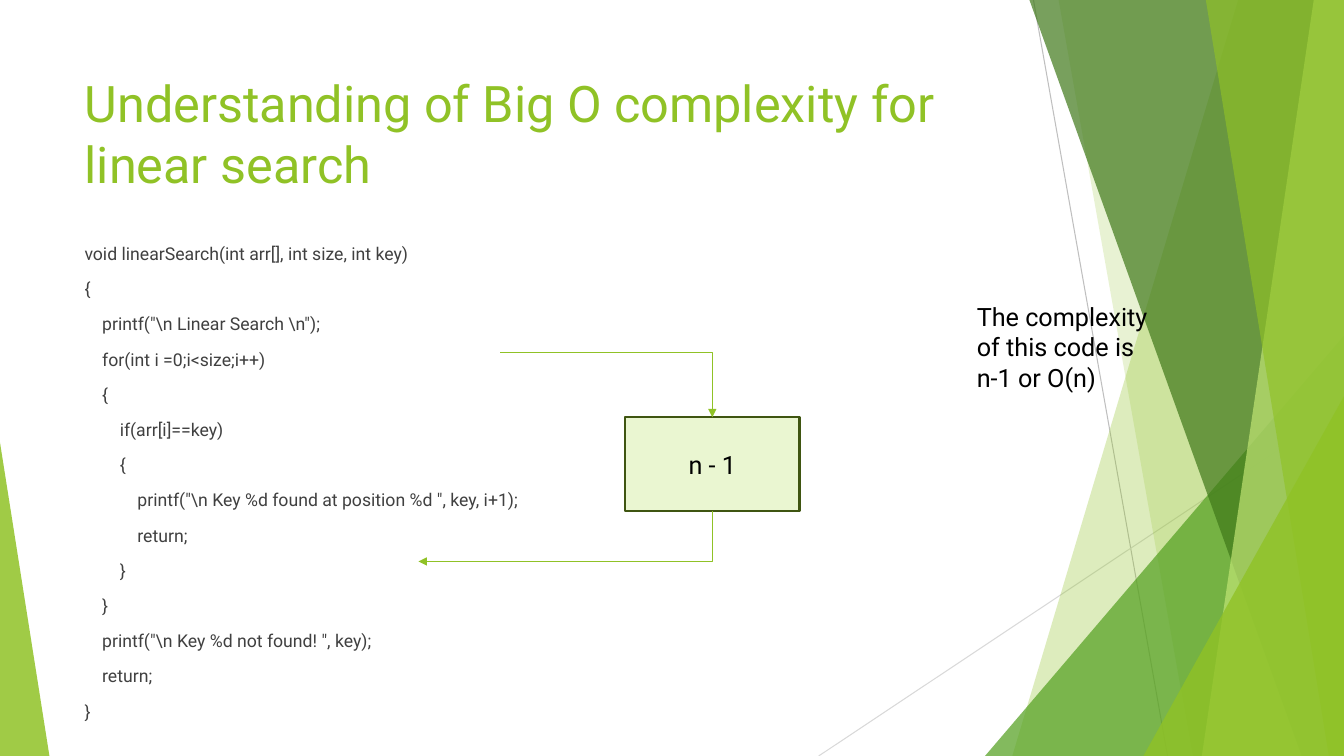
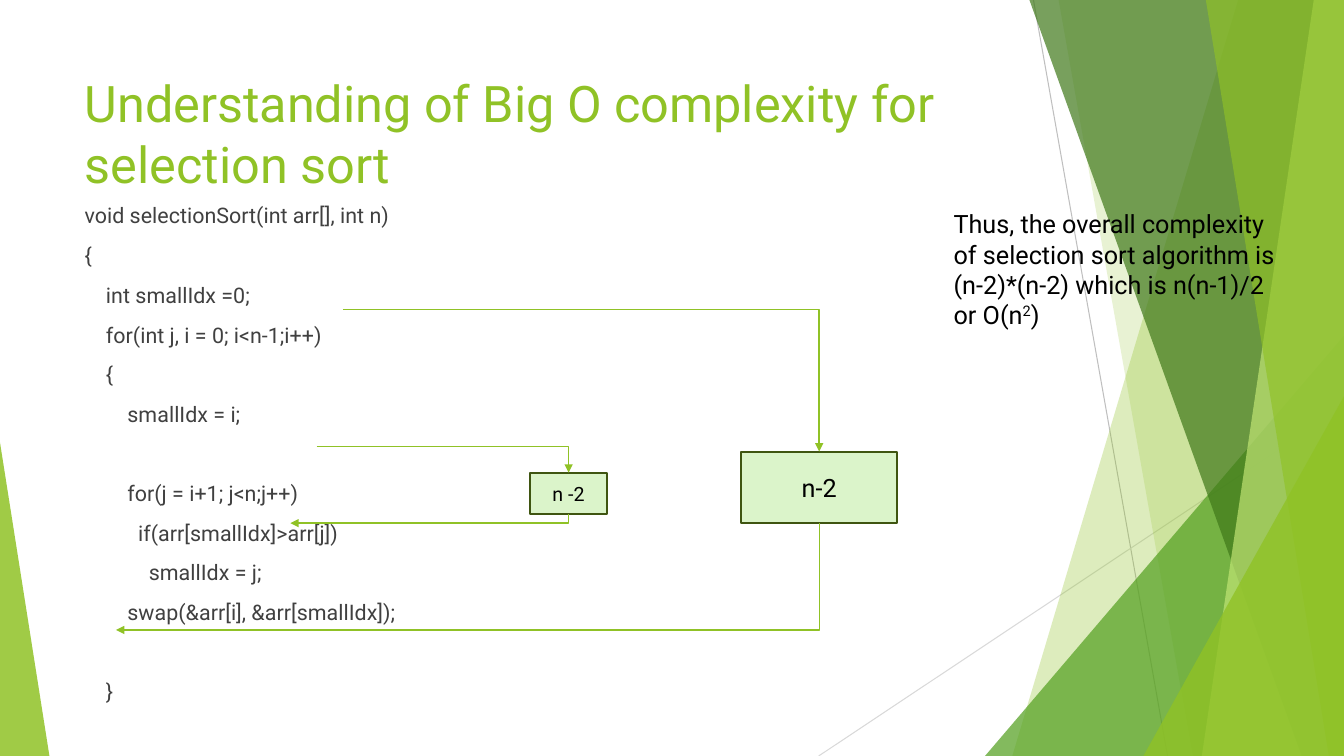
"""Build two slides on the Big O complexity of linear search and selection sort."""
from lxml.etree import SubElement
from pptx import Presentation
from pptx.dml.color import RGBColor
from pptx.enum.shapes import MSO_CONNECTOR, MSO_SHAPE
from pptx.enum.text import MSO_ANCHOR, PP_ALIGN
from pptx.oxml.ns import qn
from pptx.util import Inches, Pt

GREEN = RGBColor(0x90, 0xC2, 0x26)
MID_GREEN = RGBColor(0x54, 0xA0, 0x21)
DARK_GREEN = RGBColor(0x3F, 0x78, 0x19)
LIGHT_GREEN = RGBColor(0xC0, 0xE4, 0x74)
OUTLINE = RGBColor(0x3F, 0x55, 0x11)
LIME_TINT = RGBColor(0xEA, 0xF6, 0xD1)
MINT_TINT = RGBColor(0xDB, 0xF4, 0xCA)
GRAY = RGBColor(0xBF, 0xBF, 0xBF)
PALE_GRAY = RGBColor(0xD9, 0xD9, 0xD9)
TEXT_GRAY = RGBColor(0x40, 0x40, 0x40)
BLACK = RGBColor(0, 0, 0)

FONT = "Roboto"
WIDTH, HEIGHT = 13.33, 7.5
LINE_HEIGHT = 1.17
SPACE_WIDTH = 0.25
CODE_GAP = 10

LINEAR_SEARCH = r"""void linearSearch(int arr[], int size, int key)
{
    printf("\n Linear Search \n");
    for(int i =0;i<size;i++)
    {
        if(arr[i]==key)
        {
            printf("\n Key %d found at position %d ", key, i+1);
            return;
        }
    }
    printf("\n Key %d not found! ", key);
    return;
}"""

SELECTION_SORT = """void selectionSort(int arr[], int n)
{
    int smallIdx =0;
    for(int j, i = 0; i<n-1;i++)
    {
        smallIdx = i;

        for(j = i+1; j<n;j++)
          if(arr[smallIdx]>arr[j])
            smallIdx = j;
        swap(&arr[i], &arr[smallIdx]);

    }"""


def add_text(p, text, size=18, color=BLACK, align=PP_ALIGN.LEFT, before=0, indent=0, baseline=0):
    p.alignment = align
    p.space_before = Pt(before)
    if indent:
        p._p.get_or_add_pPr().set("marL", str(Pt(indent)))
    r = p.add_run()
    r.text = text
    r.font.name = FONT
    r.font.size = Pt(size)
    r.font.color.rgb = color
    if baseline:
        r._r.get_or_add_rPr().set("baseline", str(baseline * 1000))


class Deck:
    def __init__(self):
        self.prs = Presentation()
        self.prs.slide_width = Inches(WIDTH)
        self.prs.slide_height = Inches(HEIGHT)
        self.shapes = None

    def slide(self, title):
        self.shapes = self.prs.slides.add_slide(self.prs.slide_layouts[6]).shapes
        self.facets()
        p = self.text_box(0.74, 0.67, 9.4, 1.44).paragraphs[0]
        add_text(p, title, size=36, color=GREEN)

    def facets(self):
        self.line(10.25, 0, 11.58, HEIGHT, GRAY)
        self.line(WIDTH, 4.03, 8.12, HEIGHT, PALE_GRAY)
        self.band(12.28, 10.04, GREEN, 30)
        self.band(10.5, 11.83, GREEN, 20)
        self.triangle(9.77, 3.33, 3.56, 1, MID_GREEN, 72)
        self.band(10.21, 12.91, DARK_GREEN, 70)
        self.band(13.03, 11.92, LIGHT_GREEN, 70)
        self.band(11.96, 13.18, GREEN, 65)
        self.triangle(11.34, 3.93, 1.99, 1, GREEN, 80)
        self.triangle(0, 4.39, 0.49, 0, GREEN, 85)

    def paint(self, sp, color, opacity):
        sp.shadow.inherit = False
        sp.line.fill.background()
        sp.fill.solid()
        sp.fill.fore_color.rgb = color
        clr = sp._element.spPr.find(qn("a:solidFill"))[0]
        SubElement(clr, qn("a:alpha")).set("val", str(opacity * 1000))

    def band(self, top_x, bottom_x, color, opacity):
        corners = [(WIDTH, 0), (WIDTH, HEIGHT), (bottom_x, HEIGHT)]
        fb = self.shapes.build_freeform(Inches(top_x), 0)
        fb.add_line_segments([(Inches(x), Inches(y)) for x, y in corners])
        self.paint(fb.convert_to_shape(), color, opacity)

    def triangle(self, x, y, w, apex, color, opacity):
        sp = self.shapes.add_shape(MSO_SHAPE.ISOSCELES_TRIANGLE, Inches(x), Inches(y),
                                   Inches(w), Inches(HEIGHT - y))
        sp.adjustments[0] = apex
        self.paint(sp, color, opacity)

    def line(self, x1, y1, x2, y2, color, width=0.75, kind=MSO_CONNECTOR.STRAIGHT):
        cxn = self.shapes.add_connector(kind, Inches(x1), Inches(y1), Inches(x2), Inches(y2))
        cxn.line.color.rgb = color
        cxn.line.width = Pt(width)
        SubElement(cxn._element.spPr, qn("a:effectLst"))
        return cxn

    def elbow(self, x1, y1, x2, y2, down_first=False):
        if down_first:
            cx, cy = (x1 + x2) / 2, (y1 + y2) / 2
            half_w, half_h = abs(y2 - y1) / 2, abs(x2 - x1) / 2
            x1, y1, x2, y2 = cx - half_w, cy - half_h, cx + half_w, cy + half_h
        cxn = self.line(x1, y1, x2, y2, GREEN, 1, MSO_CONNECTOR.ELBOW)
        spPr = cxn._element.spPr
        spPr.find(qn("a:prstGeom")).set("prst", "bentConnector2")
        if down_first:
            spPr.find(qn("a:xfrm")).set("rot", "5400000")
        SubElement(spPr.find(qn("a:ln")), qn("a:tailEnd")).set("type", "triangle")

    def text_box(self, x, y, w, h):
        tf = self.shapes.add_textbox(Inches(x), Inches(y), Inches(w), Inches(h)).text_frame
        tf.word_wrap = True
        return tf

    def code(self, source, size, x, y, w, h):
        tf = self.text_box(x, y, w, h)
        p, before = tf.paragraphs[0], 0
        for row in source.splitlines():
            text = row.lstrip()
            if not text:
                before += size * LINE_HEIGHT + CODE_GAP
                continue
            indent = (len(row) - len(text)) * size * SPACE_WIDTH
            p = p if not p.runs else tf.add_paragraph()
            add_text(p, text, size=size, color=TEXT_GRAY, before=before, indent=indent)
            before = CODE_GAP

    def count_box(self, text, x, y, w, h, fill, size=18):
        sp = self.shapes.add_shape(MSO_SHAPE.RECTANGLE, Inches(x), Inches(y), Inches(w), Inches(h))
        sp.shadow.inherit = False
        sp.fill.solid()
        sp.fill.fore_color.rgb = fill
        sp.line.color.rgb = OUTLINE
        sp.line.width = Pt(1.5)
        sp.text_frame.vertical_anchor = MSO_ANCHOR.MIDDLE
        add_text(sp.text_frame.paragraphs[0], text, size=size, align=PP_ALIGN.CENTER)

    def loop(self, text, box, fill, start, end, size=18):
        x, y, w, h = box
        middle = x + w / 2
        self.count_box(text, x, y, w, h, fill, size)
        self.elbow(*start, middle, y)
        self.elbow(middle, y + h, *end, down_first=True)

    def note(self, runs, x, y, w, h):
        p = self.text_box(x, y, w, h).paragraphs[0]
        for text, baseline in runs:
            add_text(p, text, baseline=baseline)


def main():
    deck = Deck()

    deck.slide("Understanding of Big O complexity for linear search")
    deck.code(LINEAR_SEARCH, 12.6, 0.74, 2.36, 5.56, 4.47)
    deck.loop("n - 1", (6.2, 4.14, 1.73, 0.93), LIME_TINT, (4.96, 3.5), (4.15, 5.57))
    deck.note([("The complexity of this code is n-1 or O(n)", 0)], 9.59, 2.94, 2.02, 1.01)

    deck.slide("Understanding of Big O complexity for selection sort")
    deck.code(SELECTION_SORT, 15.3, 0.74, 1.96, 8.49, 5.2)
    deck.loop("n -2", (5.26, 4.69, 0.76, 0.41), MINT_TINT, (3.14, 4.43), (2.88, 5.19), size=14)
    deck.loop("n-2", (7.35, 4.48, 1.55, 0.71), MINT_TINT, (3.4, 3.07), (1.15, 6.25))
    deck.note([("Thus, the overall complexity of selection sort algorithm is "
                "(n-2)*(n-2) which is n(n-1)/2 or O(n", 0), ("2", 30), (")", 0)],
              9.36, 2.02, 3.44, 1.31)

    deck.prs.save("out.pptx")


if __name__ == "__main__":
    main()
